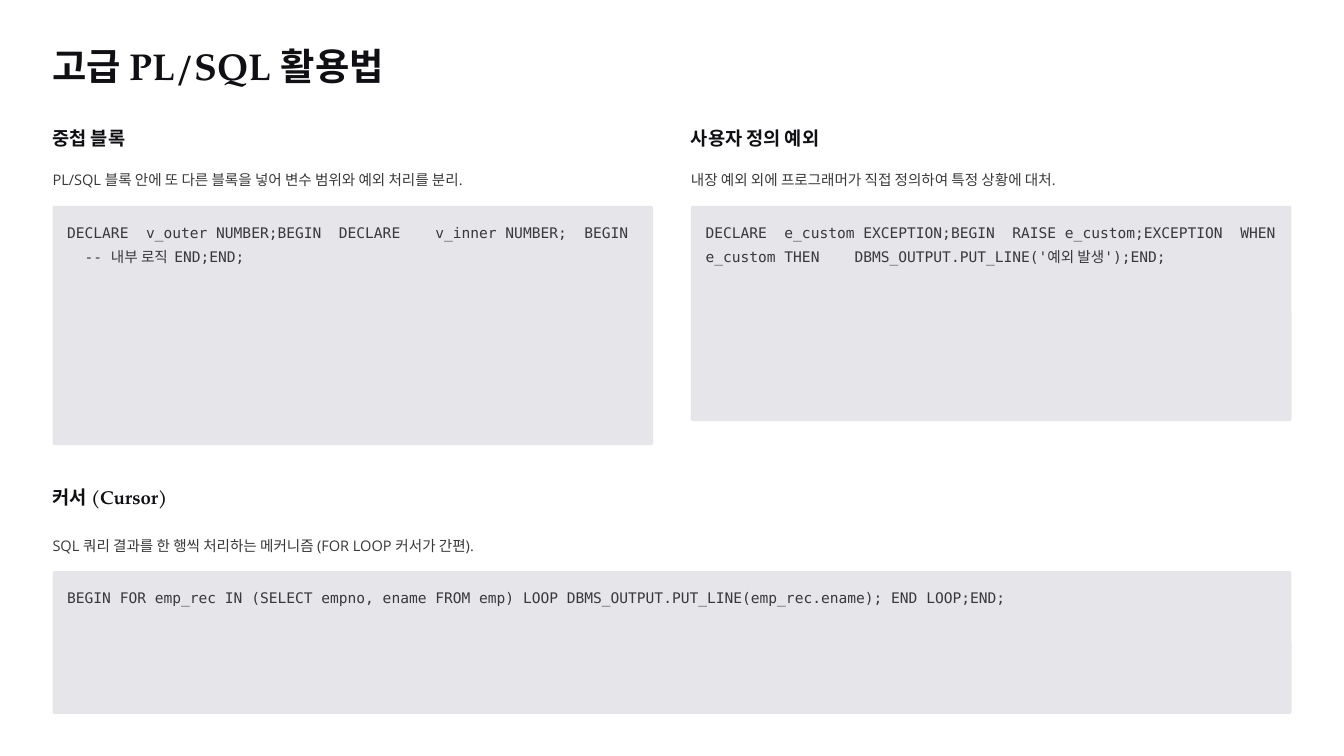
import pptx
import pptx.dml.color
import pptx.enum.shapes
import pptx.util

PX = 11430  # EMU per px, 80 px to the inch
COLORS = {"ink": "101014", "body": "39393C", "panel": "E6E6EA"}
# style: font, size, line spacing, colour, bold
STYLES = {
    "title": ("TeX Gyre Pagella", 32, 40, "ink", True),
    "heading": ("TeX Gyre Pagella", 16, 20, "ink", True),
    "body": ("Open Sans", 12.5, 20.5, "body", False),
    "code": ("DejaVu Sans Mono", 12.5, 20.5, "body", False),
}


class Deck:
    def __init__(self, width, height):
        self.prs = pptx.Presentation()
        self.prs.slide_width = width * PX
        self.prs.slide_height = height * PX
        self.slide = self.prs.slides.add_slide(self.prs.slide_layouts[6])

    def color(self, name):
        return pptx.dml.color.RGBColor.from_string(COLORS[name])

    def text(self, text, style, x, y, w, h, wrap=False):
        font, size, spacing, color, bold = STYLES[style]
        sp = self.slide.shapes.add_textbox(x * PX, y * PX, w * PX, h * PX)
        tf = sp.text_frame
        tf.word_wrap = wrap
        tf.margin_left = tf.margin_top = tf.margin_right = tf.margin_bottom = 0
        p = tf.paragraphs[0]
        p.text = text
        p.line_spacing = pptx.util.Pt(spacing)
        p.font.name = font
        p.font.size = pptx.util.Pt(size)
        p.font.bold = bold
        p.font.color.rgb = self.color(color)

    def panel(self, x, y, w, h, radius=2):
        sp = self.slide.shapes.add_shape(
            pptx.enum.shapes.MSO_SHAPE.ROUNDED_RECTANGLE,
            x * PX, y * PX, w * PX, h * PX)
        sp.adjustments[0] = radius / min(w, h)
        sp.shadow.inherit = False
        sp.fill.solid()
        sp.fill.fore_color.rgb = self.color("panel")
        sp.line.fill.background()

    def section(self, heading, body, code, x, w, heading_y, body_y, code_h):
        code_y = body_y + 39
        self.text(heading, "heading", x, heading_y, 179, 22)
        self.text(body, "body", x, body_y, w, 23)
        self.panel(x, code_y, w, code_h)
        self.text(code, "code", x + 14, code_y + 11, w - 27, code_h - 22, wrap=True)


def main():
    deck = Deck(1280, 720)
    left, column, gap = 50, 572, 36

    # Title
    deck.text("고급 PL/SQL 활용법", "title", left, 39, 358, 45)

    # Two columns
    deck.section(
        "중첩 블록",
        "PL/SQL 블록 안에 또 다른 블록을 넣어 변수 범위와 예외 처리를 분리.",
        "DECLARE  v_outer NUMBER;BEGIN  DECLARE    v_inner NUMBER;  BEGIN"
        "    -- 내부 로직  END;END;",
        left, column, 120, 157, 228)
    deck.section(
        "사용자 정의 예외",
        "내장 예외 외에 프로그래머가 직접 정의하여 특정 상황에 대처.",
        "DECLARE  e_custom EXCEPTION;BEGIN  RAISE e_custom;EXCEPTION  WHEN "
        "e_custom THEN    DBMS_OUTPUT.PUT_LINE('예외 발생');END;",
        left + column + gap, column, 120, 157, 205)

    # Full-width row
    deck.section(
        "커서 (Cursor)",
        "SQL 쿼리 결과를 한 행씩 처리하는 메커니즘 (FOR LOOP 커서가 간편).",
        "BEGIN FOR emp_rec IN (SELECT empno, ename FROM emp) LOOP "
        "DBMS_OUTPUT.PUT_LINE(emp_rec.ename); END LOOP;END;",
        left, 2 * column + gap, 462, 505, 136)

    deck.prs.save("out.pptx")


if __name__ == "__main__":
    main()
